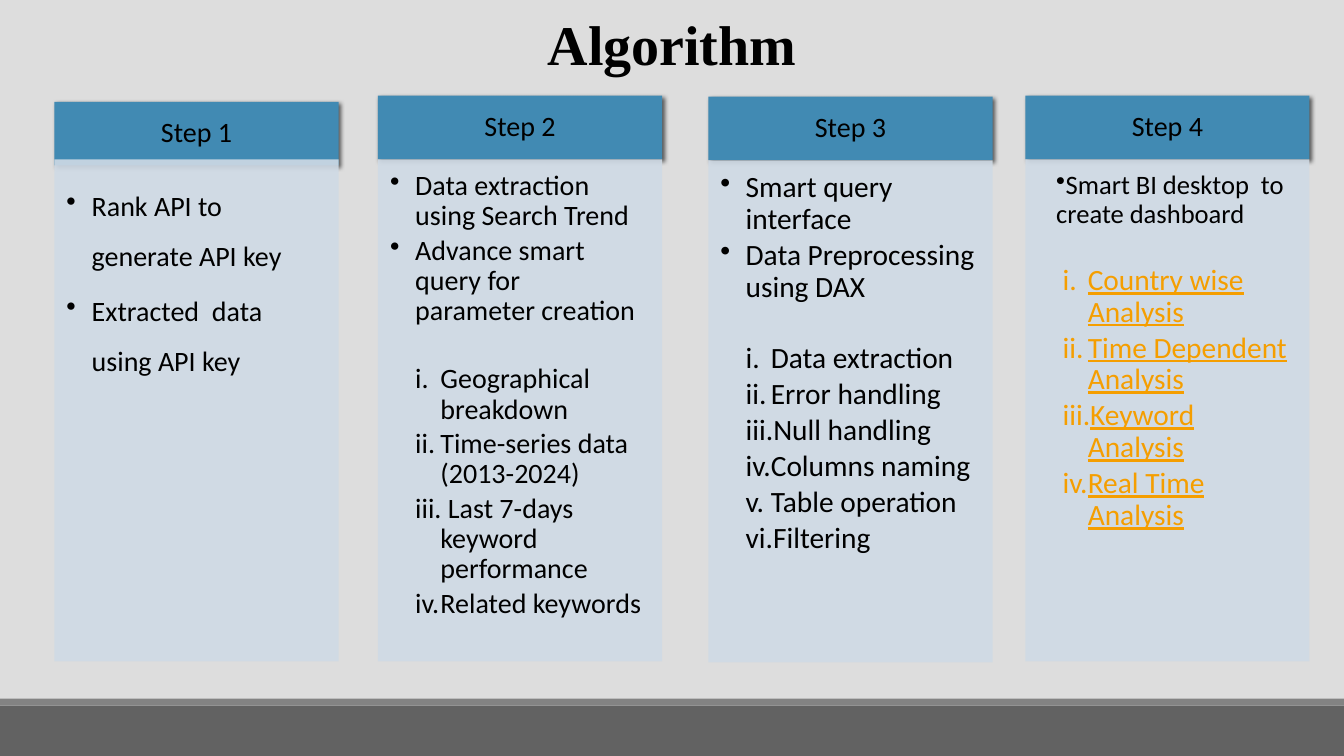
from lxml.etree import SubElement as Sub
from pptx import Presentation
from pptx.dml.color import RGBColor
from pptx.enum.shapes import MSO_SHAPE as Kind
from pptx.enum.text import MSO_ANCHOR as Anchor, PP_ALIGN as Align
from pptx.oxml.ns import qn
from pptx.util import Pt

deck = Presentation()
deck.slide_width, deck.slide_height = Pt(960), Pt(540)
slide = deck.slides.add_slide(deck.slide_layouts[6])


def paint(fill, tone):
    fill.solid()
    fill.fore_color.rgb = RGBColor.from_string(tone)


def block(left, top, width, height, tone):
    box = slide.shapes.add_shape(Kind.RECTANGLE, Pt(left), Pt(top), Pt(width), Pt(height))
    paint(box.fill, tone)
    box.line.fill.background()
    box.shadow.inherit = False
    frame = box.text_frame
    frame.word_wrap = True
    frame.margin_left = frame.margin_right = Pt(11.5)
    return box


paint(slide.background.fill, "DDDDDD")
block(0, 504, 960, 36, "626262")
block(0, 499, 960, 5, "838383")

black, gold = "000000", "F59E00"
steps = [
    (38.9, 72.7, 113.8, 1.5, 20, 20, black,
     ["Rank API to  generate API key", "Extracted  data using API key"], []),
    (270, 68.4, 113.8, 0.9, 20, 20, black,
     ["Data extraction using Search Trend", "Advance smart query for parameter creation"],
     ["Geographical breakdown", "Time-series data (2013-2024)",
      " Last 7-days keyword performance", "Related keywords"]),
    (506, 69.1, 114.5, 0.9, 21, 21, black,
     ["Smart query interface", "Data Preprocessing using DAX"],
     ["Data extraction", "Error handling", "Null handling", "Columns naming",
      "Table operation", "Filtering"]),
    (732.4, 68.4, 113.8, 0.9, 19, 21, gold,
     ["Smart BI desktop  to create dashboard"],
     ["Country wise Analysis", "Time Dependent Analysis", "Keyword Analysis",
      "Real Time Analysis"]),
]

for num, (left, high, top, lead, size, small, tone, main, subs) in enumerate(steps, 1):
    head = block(left, high, 203, 45.4, "418AB3")
    cast = Sub(head.element.spPr.find(qn("a:effectLst")), qn("a:outerShdw"),
               blurRad=str(Pt(3)), dist=str(Pt(2)), dir="2700000", rotWithShape="0")
    shade = Sub(cast, qn("a:srgbClr"), val=black)
    Sub(shade, qn("a:alpha"), val="60000")
    head.text_frame.vertical_anchor = Anchor.MIDDLE
    para = head.text_frame.paragraphs[0]
    para.alignment = Align.CENTER
    para.line_spacing = 0.9
    run = para.add_run()
    run.text = f"Step {num}"
    run.font.name, run.font.size = "Calibri", Pt(20)
    run.font.color.rgb = RGBColor.from_string(black)

    body = block(left, top, 203, 358.6, "CFDAE5")
    clear = body.element.spPr.find(qn("a:solidFill"))[0]
    Sub(clear, qn("a:alpha"), val="90000")
    frame = body.text_frame
    frame.vertical_anchor = Anchor.TOP
    frame.margin_left = frame.margin_top = Pt(8.6)
    frame.margin_bottom = Pt(12.6)
    for pos, text in enumerate(main + subs):
        deep = pos >= len(main)
        para = frame.paragraphs[0] if pos == 0 else frame.add_paragraph()
        para.alignment = Align.LEFT
        para.level = 2 if deep else 1
        para.line_spacing = lead
        para.space_after = Pt(3)
        para.space_before = Pt(1.2 * size if pos == len(main) else 0)
        props = para._p.get_or_add_pPr()
        edge, hang = (36, -18) if deep else (18, -18) if num < 4 else (13.5, 0)
        props.set("marL", str(Pt(edge)))
        props.set("indent", str(Pt(hang)))
        if deep:
            Sub(props, qn("a:buAutoNum"), type="romanLcPeriod")
        else:
            Sub(props, qn("a:buChar"), char="•")
        run = para.add_run()
        run.text = text
        run.font.name = "Calibri"
        run.font.size = Pt(small if deep else size)
        run.font.color.rgb = RGBColor.from_string(tone if deep else black)
        if deep and tone == gold:
            run.font.underline = True

title = slide.shapes.add_textbox(Pt(381), Pt(3.6), Pt(198), Pt(55.4))
title.text_frame.word_wrap = True
para = title.text_frame.paragraphs[0]
para.alignment = Align.CENTER
run = para.add_run()
run.text = "Algorithm"
run.font.name, run.font.size, run.font.bold = "Times New Roman", Pt(40), True
run.font.color.rgb = RGBColor.from_string(black)

deck.save("out.pptx")
